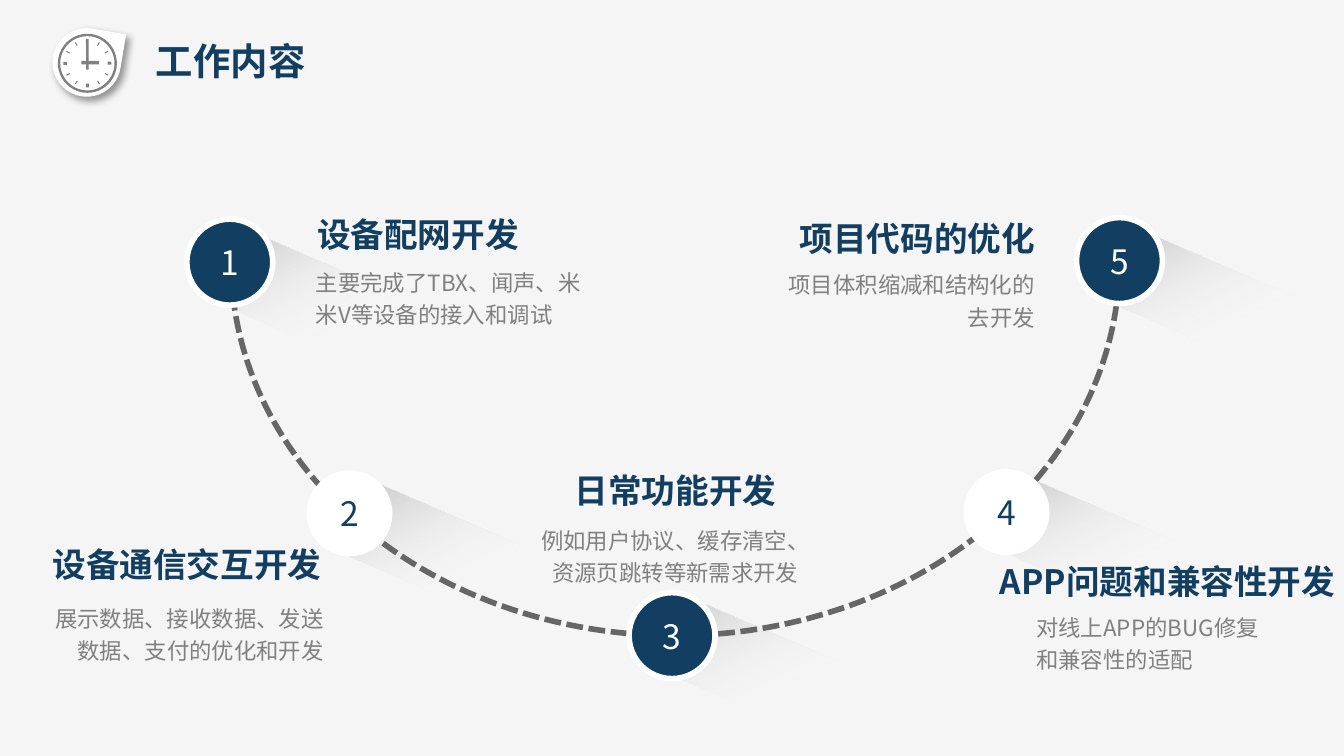
from math import cos, radians, sin

from lxml import etree
from pptx import Presentation
from pptx.dml import color
from pptx.enum import dml, shapes, text
from pptx.oxml import ns
from pptx.util import Pt

FONT = "Noto Sans CJK SC"
NAVY, WHITE, GRAY, DASH = "123E61", "FFFFFF", "808080", "666666"
KIND = shapes.MSO_SHAPE
ALIGN = text.PP_ALIGN
EDGE = text.MSO_ANCHOR
A = ns.nsdecls("a")

SHADE = f"""<a:gradFill {A} rotWithShape="1"><a:gsLst>
<a:gs pos="0"><a:srgbClr val="BFBFBF"/></a:gs>
<a:gs pos="54000"><a:srgbClr val="FFFFFF"><a:alpha val="0"/></a:srgbClr></a:gs>
</a:gsLst><a:lin ang="2400000" scaled="0"/></a:gradFill>"""
DROP = f"""<a:effectLst {A}>
<a:outerShdw blurRad="50800" dist="38100" dir="2700000" algn="tl" rotWithShape="0">
<a:srgbClr val="000000"><a:alpha val="40000"/></a:srgbClr>
</a:outerShdw></a:effectLst>"""

SIDES = {
    "left": dict(align=ALIGN.LEFT, head=EDGE.BOTTOM, body=EDGE.TOP, pads=(22.3, 0), top=5.8),
    "mid": dict(align=ALIGN.CENTER, head=EDGE.BOTTOM, body=EDGE.TOP, pads=(0, 0), top=5.8),
    "right": dict(align=ALIGN.RIGHT, head=EDGE.MIDDLE, body=EDGE.MIDDLE, pads=(0, 22.3), top=0),
}

NODES = [
    ("1", 100.1, 117.4, (115.2, 149.8)),
    ("2", 164.2, 252, (184.3, 285.1)),
    ("3", 337, 317.5, (349.9, 345.6)),
    ("4", 516.2, 251.3, (531.4, 281.5)),
    ("5", 576.7, 116.6, (593.3, 149.8)),
]
ARCS = [(194.45, 0), (162.28, 193.22), (131.09, 161.63), (107.85, 130.5)]
NOTES = [
    ("left", "设备配网开发", (147.6, 118.8, 133.9, 17.3),
     "主要完成了TBX、闻声、米米V等设备的接入和调试", (146.9, 135.4, 175, 33.1)),
    ("right", "设备通信交互开发", (22.3, 293.8, 172.1, 17.3),
     "展示数据、接收数据、发送数据、支付的优化和开发", (22.3, 321.8, 173.5, 33.1)),
    ("mid", "日常功能开发", (286.6, 250.6, 150.5, 23),
     "例如用户协议、缓存清空、资源页跳转等新需求开发", (286.6, 273.6, 150.5, 41)),
    ("left", "APP问题和兼容性开发", (513.4, 304.6, 210, 17.3),
     "对线上APP的BUG修复和兼容性的适配", (532.8, 320.4, 151.9, 33.1)),
    ("right", "项目代码的优化", (416.9, 118.8, 159.8, 17.3),
     "项目体积缩减和结构化的去开发", (416.9, 143.3, 159.8, 33.1)),
]


def rgb(code):
    return color.RGBColor.from_string(code)


def style(item, **values):
    for name, value in values.items():
        setattr(item, name, value)


def shape(slide, kind, box, fill=None, turn=0):
    item = slide.shapes.add_shape(kind, *map(Pt, box))
    item.shadow.inherit = False
    item.rotation = turn
    item.line.fill.background()
    if fill:
        item.fill.solid()
        item.fill.fore_color.rgb = rgb(fill)
    else:
        item.fill.background()
    return item


def stroke(item, code):
    item.line.color.rgb = rgb(code)
    item.line.width = Pt(3)


def write(item, words, size, code, align, bold=False, space=None):
    para = item.text_frame.paragraphs[0]
    style(para, alignment=align, line_spacing=space)
    run = para.add_run()
    run.text = words
    style(run.font, name=FONT, size=Pt(size), bold=bold)
    run.font.color.rgb = rgb(code)
    east = etree.SubElement(run.font._element, ns.qn("a:ea"))
    east.set("typeface", FONT)


def frame(item, anchor, wrap, pads):
    left, top, right, low = map(Pt, pads)
    style(item.text_frame, vertical_anchor=anchor, word_wrap=wrap,
          margin_left=left, margin_top=top, margin_right=right, margin_bottom=low)


def clock(slide):
    drop = shape(slide, KIND.TEAR, (28.1, 15.1, 36.7, 36.7), WHITE, 9.5)
    props = drop._element.spPr
    props.remove(props.find(ns.qn("a:effectLst")))
    props.append(etree.fromstring(DROP))
    midx, midy, reach = 46.8, 33.9, 11.9
    ring = shape(slide, KIND.DONUT, (midx - 15.8, midy - 15.8, 31.6, 31.6), GRAY)
    ring.adjustments[0] = 0.04
    for hour in range(12):
        turn = 30 * hour
        wide = 0.6 if hour % 3 else 1.6
        x = midx + reach * sin(radians(turn))
        y = midy - reach * cos(radians(turn))
        shape(slide, KIND.RECTANGLE, (x - wide / 2, y - 1, wide, 2), GRAY, turn)
    shape(slide, KIND.RECTANGLE, (46.1, 23, 1.4, 14.4), GRAY)
    shape(slide, KIND.RECTANGLE, (43.6, 32.6, 9.5, 1.9), GRAY)


def shade(slide, spot):
    item = shape(slide, KIND.RECTANGLE, (*spot, 148.3, 41.8), turn=23.3)
    props = item._element.spPr
    props.replace(props.find(ns.qn("a:noFill")), etree.fromstring(SHADE))


def arc(slide, ends):
    item = shape(slide, KIND.ARC, (123.8, -60.5, 475.9, 401), turn=180)
    for side, value in enumerate(ends):
        item.adjustments[side] = value
    stroke(item, DASH)
    item.line.dash_style = dml.MSO_LINE.SQUARE_DOT


def node(slide, label, x, y):
    dark = int(label) % 2
    item = shape(slide, KIND.OVAL, (x, y, 46.1, 46.1), NAVY if dark else WHITE)
    if dark:
        stroke(item, WHITE)
    item.text_frame.vertical_anchor = EDGE.MIDDLE
    write(item, label, 18, WHITE if dark else NAVY, ALIGN.CENTER)


def note(slide, side, head, spot, body, area):
    look = SIDES[side]
    left, right = look["pads"]
    item = slide.shapes.add_textbox(*map(Pt, spot))
    frame(item, look["head"], False, (left, 0, right, 0))
    write(item, head, 18, NAVY, look["align"], True)
    item = slide.shapes.add_textbox(*map(Pt, area))
    frame(item, look["body"], True, (left, look["top"], right, 0))
    write(item, body, 12, GRAY, look["align"], space=1.2)


def title(slide):
    item = slide.shapes.title
    style(item, left=Pt(79.2), top=Pt(18), width=Pt(154.8), height=Pt(28.1))
    frame(item, EDGE.TOP, True, (4.3, 2.2, 4.3, 2.2))
    write(item, "工作内容", 20, NAVY, ALIGN.LEFT, True)


def main():
    deck = Presentation()
    style(deck, slide_width=Pt(720), slide_height=Pt(405))
    slide = deck.slides.add_slide(deck.slide_layouts[5])
    back = slide.background.fill
    back.solid()
    back.fore_color.rgb = rgb("F5F5F6")
    title(slide)
    clock(slide)
    for *_, spot in reversed(NODES):
        shade(slide, spot)
    for ends in ARCS:
        arc(slide, ends)
    for label, x, y, _ in NODES:
        node(slide, label, x, y)
    for entry in NOTES:
        note(slide, *entry)
    deck.save("out.pptx")


if __name__ == "__main__":
    main()
